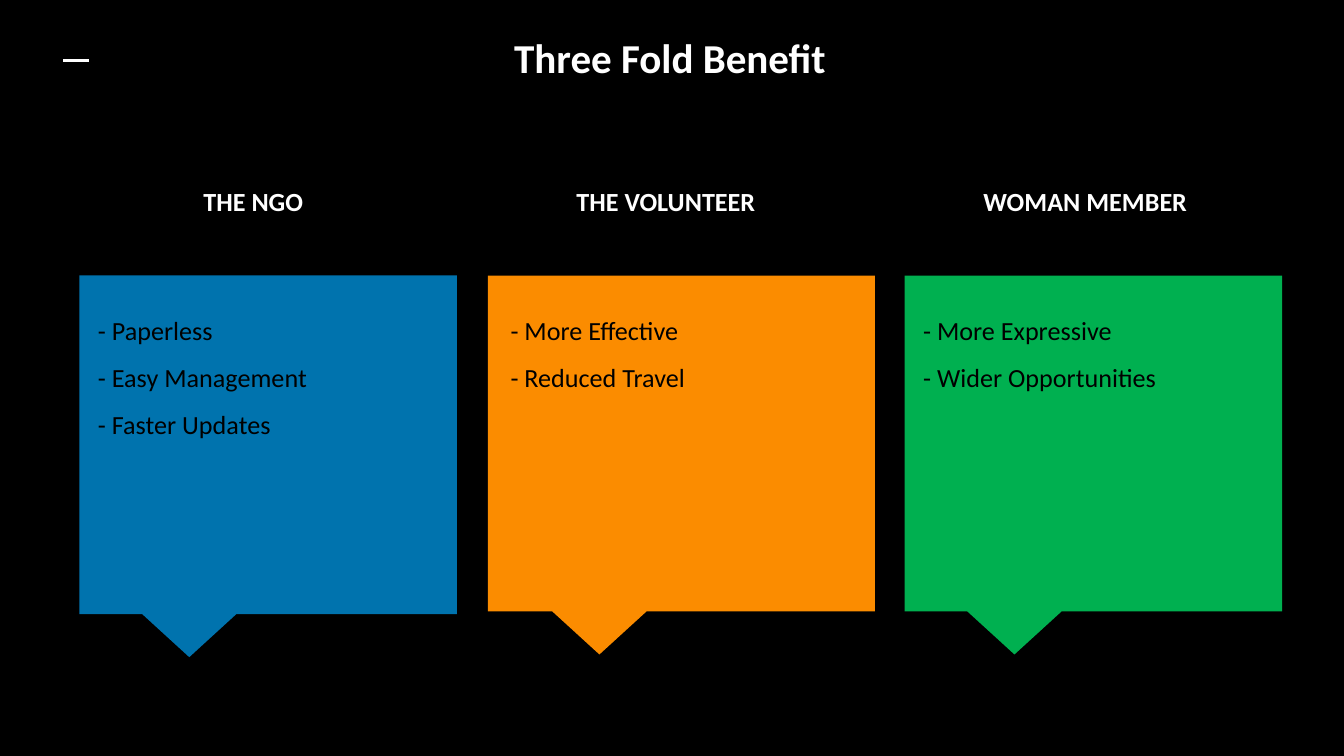
"""Build the Three Fold Benefit slide with three callout cards."""
from lxml import etree
from pptx import Presentation
from pptx.dml.color import RGBColor
from pptx.enum.shapes import MSO_CONNECTOR
from pptx.enum.text import MSO_ANCHOR, PP_ALIGN
from pptx.oxml.ns import qn
from pptx.util import Inches, Pt

BLACK = RGBColor(0x00, 0x00, 0x00)
WHITE = RGBColor(0xFF, 0xFF, 0xFF)
BLUE = RGBColor(0x00, 0x73, 0xAE)
ORANGE = RGBColor(0xFB, 0x8C, 0x00)
GREEN = RGBColor(0x00, 0xB0, 0x50)

CARD_TOP = 2.05
NOTCH_HEIGHT = 0.32
NOTCH_HALF_WIDTH = 0.35


def add_text(slide, left, top, width, height, lines, size, color, heading=True):
    shape = slide.shapes.add_textbox(Inches(left), Inches(top), Inches(width), Inches(height))
    frame = shape.text_frame
    frame.word_wrap = True
    frame.vertical_anchor = MSO_ANCHOR.TOP
    frame.margin_left = frame.margin_right = Inches(0.1)
    frame.margin_top = frame.margin_bottom = Inches(0.1)
    paragraph = frame.paragraphs[0]
    paragraph.alignment = PP_ALIGN.CENTER if heading else PP_ALIGN.LEFT
    if not heading:
        paragraph.line_spacing = 1.5
        paragraph.space_before = Pt(12)
    for index, line in enumerate(lines):
        if index:
            paragraph.add_line_break()
        run = paragraph.add_run()
        run.text = line
        run.font.name = "Calibri"
        run.font.size = Pt(size)
        run.font.bold = heading
        run.font.color.rgb = color


def add_card(slide, left, width, height, color):
    right = left + width
    bottom = CARD_TOP + height
    notch_left = left + width / 6
    tip = notch_left + NOTCH_HALF_WIDTH
    points = [
        (left, bottom),
        (notch_left, bottom),
        (tip, bottom + NOTCH_HEIGHT),
        (tip + NOTCH_HALF_WIDTH, bottom),
        (right, bottom),
        (right, CARD_TOP),
    ]
    builder = slide.shapes.build_freeform(Inches(left), Inches(CARD_TOP))
    builder.add_line_segments([(Inches(x), Inches(y)) for x, y in points], close=True)
    shape = builder.convert_to_shape()
    shape.shadow.inherit = False
    shape.fill.solid()
    shape.fill.fore_color.rgb = color
    shape.line.fill.background()


presentation = Presentation()
presentation.slide_width = Inches(10)
presentation.slide_height = Inches(10 * 9 / 16)
slide = presentation.slides.add_slide(presentation.slide_layouts[6])
slide.background.fill.solid()
slide.background.fill.fore_color.rgb = BLACK

dash = slide.shapes.add_connector(
    MSO_CONNECTOR.STRAIGHT, Inches(0.47), Inches(0.45), Inches(0.66), Inches(0.45)
)
dash.line.color.rgb = WHITE
dash.line.width = Pt(1.5)
etree.SubElement(dash._element.spPr, qn("a:effectLst"))

add_text(slide, 0.27, 0.14, 9.43, 0.63, ["Three Fold Benefit"], 22, WHITE)

cards = [
    (0.59, 2.81, 2.52, BLUE, 0.43, "THE NGO", 0.63,
     ["- Paperless", "- Easy Management", "- Faster Updates"]),
    (3.63, 2.88, 2.5, ORANGE, 3.5, "THE VOLUNTEER", 3.7,
     ["- More Effective", "- Reduced Travel"]),
    (6.73, 2.81, 2.5, GREEN, 6.62, "WOMAN MEMBER", 6.77,
     ["- More Expressive ", "- Wider Opportunities"]),
]
for left, width, height, color, heading_left, heading, list_left, benefits in cards:
    add_card(slide, left, width, height, color)
    add_text(slide, list_left, 2.12, 2.71, 2.19, benefits, 14, BLACK, heading=False)
    add_text(slide, heading_left, 1.28, 2.91, 0.46, [heading], 14, WHITE)

presentation.save("out.pptx")
